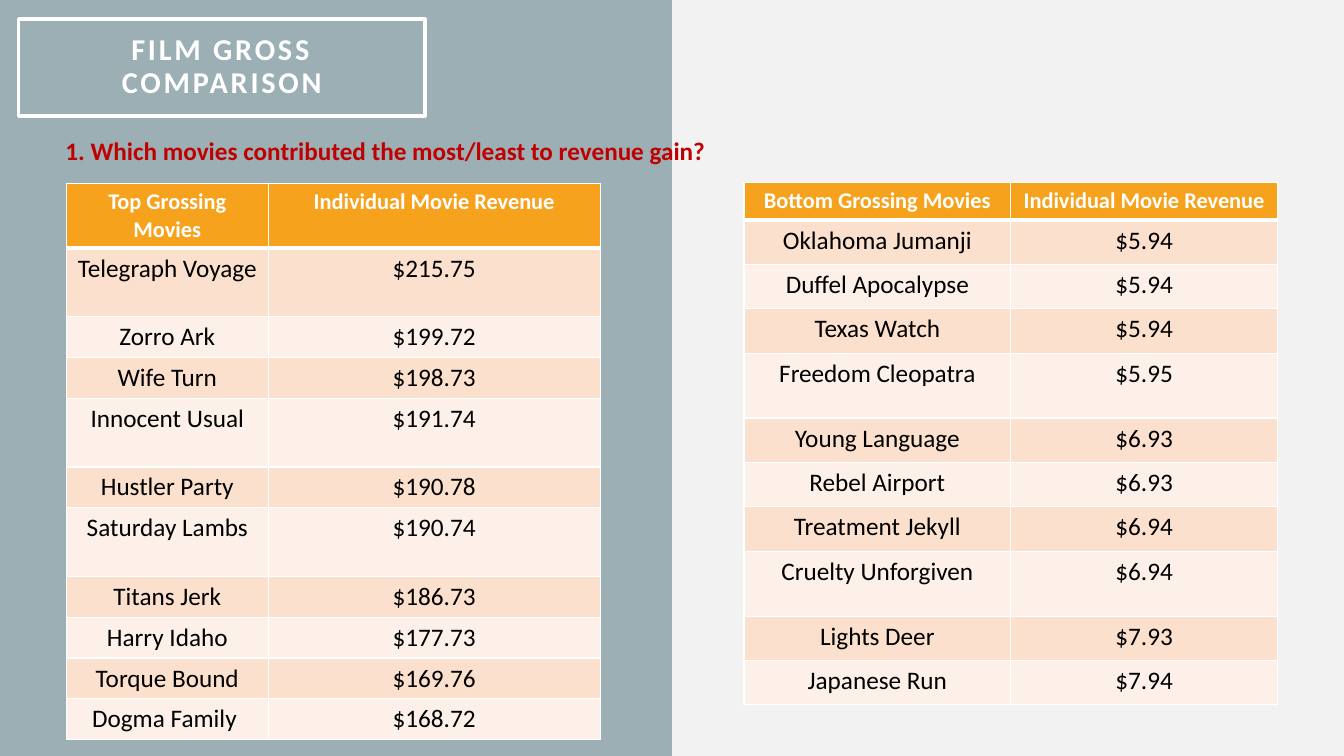
from lxml.etree import SubElement
from pptx import Presentation
from pptx.dml.color import RGBColor
from pptx.enum.shapes import MSO_SHAPE
from pptx.enum.text import MSO_ANCHOR, PP_ALIGN
from pptx.oxml.ns import qn
from pptx.util import Pt

TITLE = "FILM GROSS COMPARISON"
QUESTION = "1. Which movies contributed the most/least to revenue gain?"
TOP_MOVIES = [
    ("Top Grossing Movies", "Individual Movie Revenue"),
    ("Telegraph Voyage", "$215.75"),
    ("Zorro Ark", "$199.72"),
    ("Wife Turn", "$198.73"),
    ("Innocent Usual", "$191.74"),
    ("Hustler Party", "$190.78"),
    ("Saturday Lambs", "$190.74"),
    ("Titans Jerk", "$186.73"),
    ("Harry Idaho", "$177.73"),
    ("Torque Bound", "$169.76"),
    ("Dogma Family ", "$168.72"),
]
BOTTOM_MOVIES = [
    ("Bottom Grossing Movies", "Individual Movie Revenue"),
    ("Oklahoma Jumanji", "$5.94"),
    ("Duffel Apocalypse", "$5.94"),
    ("Texas Watch", "$5.94"),
    ("Freedom Cleopatra", "$5.95"),
    ("Young Language", "$6.93"),
    ("Rebel Airport", "$6.93"),
    ("Treatment Jekyll", "$6.94"),
    ("Cruelty Unforgiven", "$6.94"),
    ("Lights Deer", "$7.93"),
    ("Japanese Run", "$7.94"),
]
TABLES = [
    {"movies": BOTTOM_MOVIES, "left": 531.4, "top": 130.4, "widths": (190.6, 190.6),
     "header": 26.7, "row": 31.7, "tall_row": 46.4, "tall": (4, 8)},
    {"movies": TOP_MOVIES, "left": 47.5, "top": 131, "widths": (144, 237.3),
     "header": 46.3, "row": 29.2, "tall_row": 48.9, "tall": (1, 4, 6)},
]
WHITE = "FFFFFF"
HEADER_FILL = "F6A21D"
BANDS = ("FDF0E8", "FBE0CD")
TITLE_FONT = {"name": "Calibri", "size": Pt(21.6), "bold": True}
QUESTION_FONT = {"name": "Calibri", "size": Pt(18), "bold": True}
HEADER_FONT = {"name": "Calibri", "size": Pt(16), "bold": True}
MOVIE_FONT = {"name": "Calibri", "size": Pt(18), "bold": False}


def paint(color_format, hex_color):
    color_format.rgb = RGBColor.from_string(hex_color)


def fill_with(target, hex_color):
    target.fill.solid()
    paint(target.fill.fore_color, hex_color)


def write(frame, text, font_values, hex_color):
    para = frame.paragraphs[0]
    para.alignment = PP_ALIGN.CENTER
    span = para.add_run()
    span.text = text
    for name, value in font_values.items():
        setattr(span.font, name, value)
    paint(span.font.color, hex_color)
    return para, span


def add_box(page, left, top, width, height):
    box = page.shapes.add_shape(MSO_SHAPE.RECTANGLE, Pt(left), Pt(top), Pt(width), Pt(height))
    box.shadow.inherit = False
    return box


def add_borders(cell, bottom_width):
    properties = cell._tc.get_or_add_tcPr()
    for position, side in enumerate(("a:lnL", "a:lnR", "a:lnT", "a:lnB")):
        width = bottom_width if side == "a:lnB" else 1
        border = SubElement(properties, qn(side), w=str(Pt(width)))
        SubElement(SubElement(border, qn("a:solidFill")), qn("a:srgbClr"), val=WHITE)
        properties.insert(position, border)


def add_movie_table(page, movies, left, top, widths, header, row, tall_row, tall):
    heights = [header] + [tall_row if index in tall else row for index in range(1, len(movies))]
    table = page.shapes.add_table(len(movies), len(widths), Pt(left), Pt(top),
                                  Pt(sum(widths)), Pt(sum(heights))).table
    for column, width in zip(table.columns, widths):
        column.width = Pt(width)
    for index, (texts, height) in enumerate(zip(movies, heights)):
        table.rows[index].height = Pt(height)
        is_header = index == 0
        for cell, text in zip(table.rows[index].cells, texts):
            write(cell.text_frame, text, HEADER_FONT if is_header else MOVIE_FONT,
                  WHITE if is_header else "000000")
            fill_with(cell, HEADER_FILL if is_header else BANDS[index % 2])
            add_borders(cell, 3 if is_header else 1)


def main():
    deck = Presentation()
    deck.slide_width, deck.slide_height = Pt(960), Pt(540)
    page = deck.slides.add_slide(deck.slide_layouts[6])
    fill_with(page.background, "F2F2F2")

    panel = add_box(page, 0, 0, 480, 540)
    fill_with(panel, "9BAFB5")
    panel.line.fill.background()

    title_box = add_box(page, 13.4, 13.7, 290.2, 69.1)
    title_box.fill.background()
    paint(title_box.line.color, WHITE)
    title_box.line.width = Pt(2.5)
    frame = title_box.text_frame
    frame_values = {"word_wrap": True, "vertical_anchor": MSO_ANCHOR.MIDDLE}
    frame_values.update({f"margin_{side}": Pt(14.4) for side in ("left", "top", "right", "bottom")})
    for name, value in frame_values.items():
        setattr(frame, name, value)
    para, span = write(frame, TITLE, TITLE_FONT, WHITE)
    para.line_spacing = 0.9
    span.font._element.set("spc", "200")

    for table in TABLES:
        add_movie_table(page, **table)

    question_box = page.shapes.add_textbox(Pt(0), Pt(92.9), Pt(550.8), Pt(29.1))
    question_box.text_frame.word_wrap = True
    write(question_box.text_frame, QUESTION, QUESTION_FONT, "C00000")

    deck.save("out.pptx")


if __name__ == "__main__":
    main()
